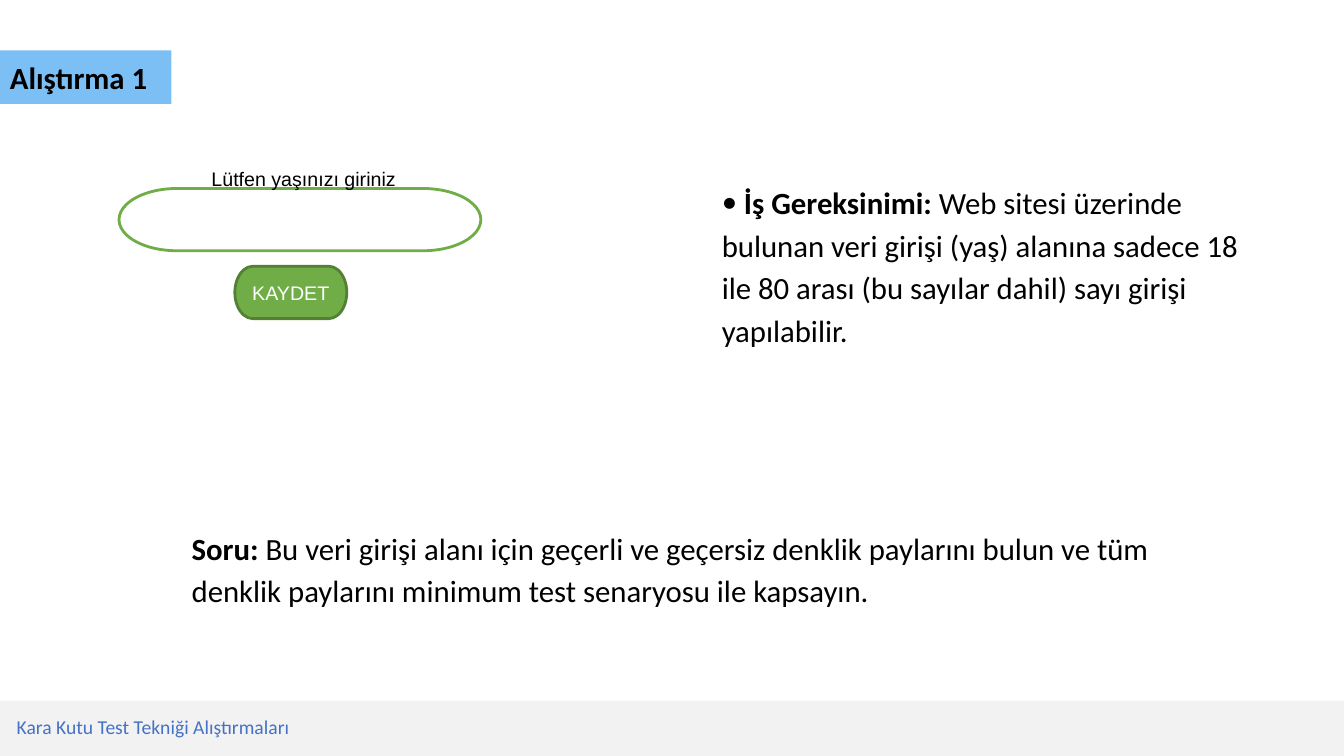
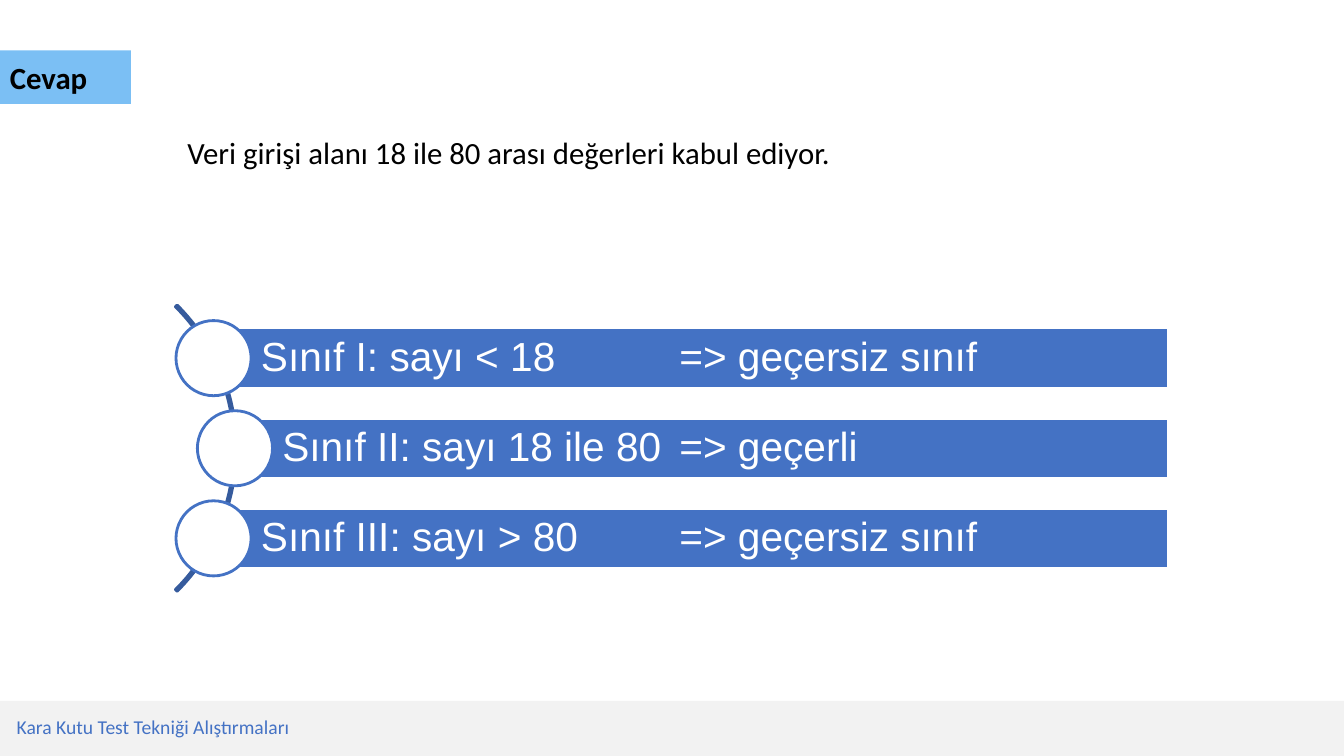
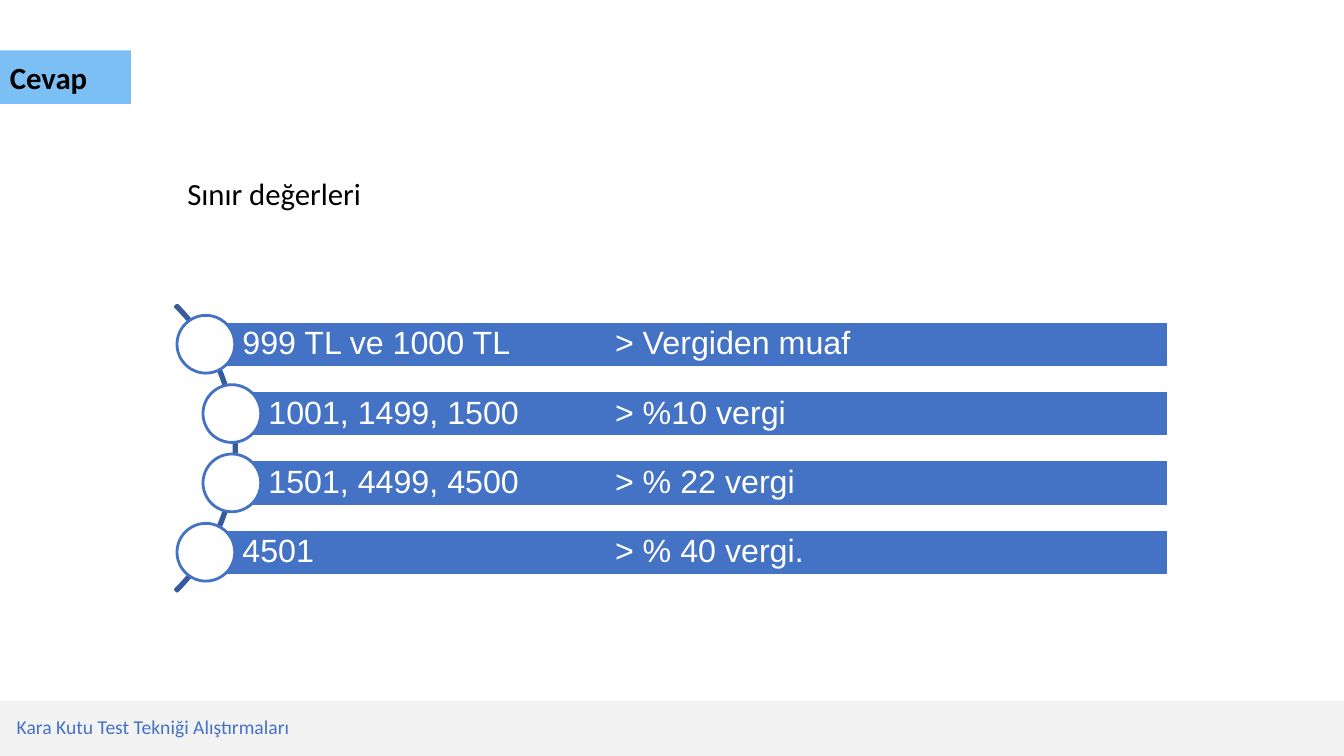
from collections import namedtuple
from math import sqrt

from lxml import etree
from pptx import Presentation
from pptx.dml.color import RGBColor
from pptx.enum.shapes import MSO_SHAPE
from pptx.enum.text import MSO_ANCHOR, MSO_AUTO_SIZE, PP_ALIGN
from pptx.oxml.ns import qn
from pptx.util import Cm, Pt

RECTANGLE = MSO_SHAPE.RECTANGLE
OVAL = MSO_SHAPE.OVAL
TERMINATOR = MSO_SHAPE.FLOWCHART_TERMINATOR
BLOCK_ARC = MSO_SHAPE.BLOCK_ARC
TOP, MIDDLE, BOTTOM = MSO_ANCHOR.TOP, MSO_ANCHOR.MIDDLE, MSO_ANCHOR.BOTTOM
LEFT, CENTER = PP_ALIGN.LEFT, PP_ALIGN.CENTER
NO_AUTOFIT = MSO_AUTO_SIZE.NONE

TITLE_ONLY = 5
COLORS = {
    "black": "000000",
    "white": "FFFFFF",
    "band": "F2F2F2",
    "title": "56ADF2",
    "blue": "4472C4",
    "dark blue": "365B9D",
    "green": "70AD47",
    "dark green": "538035",
}
BODY_FONT, FORM_FONT = "Calibri", "Arial"
BODY_SIZE, SMALL_SIZE = 22, 14
LINE_WIDTH = 2
TEXT_INSETS = (0.25, 0.13, 0.25, 0.13)
CAPTION = "Kara Kutu Test Tekniği Alıştırmaları"

# All box values are centimetres.
Box = namedtuple("Box", "left top width height")
PAGE = Box(0, 0, 33.87, 19.05)
BAND = Box(0, 17.66, PAGE.width, 1.39)
CLASS_LIST = Box(4.32, 7.51, 25.12, 7.57)


def color(name):
    return RGBColor.from_string(COLORS[name])


def lengths(box):
    return [Cm(value) for value in box]


def add_shape(page, kind, box, fill=None, line=None):
    shape = page.shapes.add_shape(kind, *lengths(box))
    shape.shadow.inherit = False
    if fill:
        shape.fill.solid()
        shape.fill.fore_color.rgb = color(fill)
    else:
        shape.fill.background()
    if line:
        shape.line.color.rgb = color(line)
        shape.line.width = Pt(LINE_WIDTH)
    else:
        shape.line.fill.background()
    return shape


def set_frame(shape, insets=TEXT_INSETS, anchor=TOP, wrap=True):
    frame = shape.text_frame
    frame.auto_size = NO_AUTOFIT
    frame.word_wrap = wrap
    frame.vertical_anchor = anchor
    (frame.margin_left, frame.margin_top,
     frame.margin_right, frame.margin_bottom) = lengths(insets)
    return frame


def write(frame, text, lead="", font=BODY_FONT, size=BODY_SIZE, ink="black",
          bold=False, align=LEFT, spacing=None, indent=0):
    """Fill the first paragraph; lead is a bold opening run."""
    para = frame.paragraphs[0]
    para.alignment = align
    para.line_spacing = spacing
    para._p.get_or_add_pPr().set("marL", str(Cm(indent)))
    para._p.pPr.set("indent", "0")
    for words, heavy in ((lead, True), (text, bold)):
        if words:
            span = para.add_run()
            span.text = words
            span.font.name = font
            span.font.size = Pt(size)
            span.font.bold = heavy
            span.font.color.rgb = color(ink)
    return para


def add_text(page, box, text, insets=TEXT_INSETS, anchor=TOP, wrap=True,
             **style):
    holder = page.shapes.add_textbox(*lengths(box))
    return write(set_frame(holder, insets, anchor, wrap), text, **style)


def add_bullet(para):
    properties = para._p.get_or_add_pPr()
    etree.SubElement(properties, qn("a:buFont"), typeface=BODY_FONT)
    etree.SubElement(properties, qn("a:buChar"), char="•")


def add_band_to_layout(deck, page):
    """Draw the footer band, then move it to the layout all pages share."""
    band = add_shape(page, RECTANGLE, BAND, fill="band")
    deck.slide_layouts[TITLE_ONLY].shapes.element.append(band.element)


def add_page(deck, title_text, title_width):
    page = deck.slides.add_slide(deck.slide_layouts[TITLE_ONLY])
    if len(deck.slides) == 1:
        add_band_to_layout(deck, page)
    title = page.shapes.title
    title.left, title.top, title.width, title.height = lengths(
        Box(0, 1.27, title_width, 1.35))
    title.fill.solid()
    title.fill.fore_color.rgb = color("title")
    fill_color = title.element.spPr.find(qn("a:solidFill"))[0]
    etree.SubElement(fill_color, qn("a:alpha"), val="78000")
    write(set_frame(title, insets=(0.25,) * 4, anchor=MIDDLE),
          title_text, bold=True)
    add_text(page, Box(0.17, BAND.top + 0.15, 14.33, 0.94), CAPTION,
             anchor=BOTTOM, size=SMALL_SIZE, ink="blue", spacing=0.9)
    return page


def add_age_form(page, box):
    field = Box(box.left, box.top + 0.69, box.width, 1.57)
    add_shape(page, TERMINATOR, field, fill="white", line="green")
    label = Box(box.left + 2.08, box.top + 0.02, 5.18, 0.86)
    add_text(page, label, "Lütfen yaşınızı giriniz", wrap=False,
             font=FORM_FONT, size=SMALL_SIZE)
    button = add_shape(
        page, TERMINATOR, Box(box.left + 2.92, box.top + 2.65, 2.82, 1.32),
        fill="green", line="dark green")
    write(set_frame(button, anchor=MIDDLE), "KAYDET", font=FORM_FONT,
          size=SMALL_SIZE, ink="white", align=CENTER)


def add_class_list(page, box, rows, size, result_left):
    """Bars whose circles sit on an arc; results start at result_left."""
    arc_radius, circle_radius = 5.1, 5.06
    center_x = box.left - 3.46
    center_y = box.top + box.height / 2
    arc = add_shape(
        page, BLOCK_ARC,
        Box(center_x - arc_radius, center_y - arc_radius,
            2 * arc_radius, 2 * arc_radius),
        line="dark blue")
    for index, value in enumerate((189, 27, 0.006)):
        arc.adjustments[index] = value

    # Gaps and outer margins are half a bar high.
    bar_height = box.height / (1.5 * len(rows) + 0.5)
    diameter = 1.25 * bar_height
    inset, padding = 0.79 * bar_height, 0.13 * bar_height
    right = box.left + box.width
    style = {"font": FORM_FONT, "size": size, "ink": "white", "spacing": 0.9}
    for index, (name, result) in enumerate(rows):
        top = box.top + bar_height * (0.5 + 1.5 * index)
        middle = top + bar_height / 2
        left = center_x + sqrt(circle_radius ** 2 - (middle - center_y) ** 2)
        bar = add_shape(page, RECTANGLE,
                        Box(left, top, right - left, bar_height),
                        fill="blue", line="white")
        write(set_frame(bar, (inset, padding, padding, padding), MIDDLE),
              name, **style)
        add_text(page, Box(result_left, top, right - result_left, bar_height),
                 result, insets=(0, padding, padding, padding),
                 anchor=MIDDLE, **style)
        add_shape(
            page, OVAL,
            Box(left - diameter / 2, middle - diameter / 2,
                diameter, diameter),
            fill="white", line="blue")


def add_exercise_page(deck):
    page = add_page(deck, "Alıştırma 1", 4.32)
    requirement = add_text(
        page, Box(17.69, 4.37, 14.4, 4.62),
        "Web sitesi üzerinde bulunan veri girişi (yaş) alanına sadece 18 "
        "ile 80 arası (bu sayılar dahil) sayı girişi yapılabilir.",
        lead=" İş Gereksinimi: ", spacing=1.15, indent=0.25)
    add_bullet(requirement)
    add_text(
        page, Box(4.33, 13.08, 25.22, 2.62),
        "Bu veri girişi alanı için geçerli ve geçersiz denklik paylarını "
        "bulun ve tüm denklik paylarını minimum test senaryosu ile kapsayın.",
        lead="Soru: ", spacing=1.15, indent=0.25)
    add_age_form(page, Box(3, 4.06, 9.12, 3.97))


def add_answer_page(deck, intro, intro_top, rows, size, result_left):
    page = add_page(deck, "Cevap", 3.3)
    add_text(page, Box(4.32, intro_top, 25.22, 1.42), intro,
             spacing=0.9, indent=0.15)
    add_class_list(page, CLASS_LIST, rows, size, result_left)


def main():
    deck = Presentation()
    deck.slide_width, deck.slide_height = Cm(PAGE.width), Cm(PAGE.height)
    add_exercise_page(deck)
    add_answer_page(
        deck, "Veri girişi alanı 18 ile 80 arası değerleri kabul ediyor.",
        3.35,
        [("Sınıf I: sayı < 18", "=> geçersiz sınıf"),
         ("Sınıf II: sayı 18 ile 80", "=> geçerli"),
         ("Sınıf III: sayı > 80", "=> geçersiz sınıf")],
        size=29, result_left=17.12)
    add_answer_page(
        deck, "Sınır değerleri", 4.37,
        [("999 TL ve 1000 TL", "> Vergiden muaf"),
         ("1001, 1499, 1500", "> %10 vergi"),
         ("1501, 4499, 4500", "> % 22 vergi"),
         ("4501", "> % 40 vergi.")],
        size=23, result_left=15.5)
    deck.save("out.pptx")


if __name__ == "__main__":
    main()
